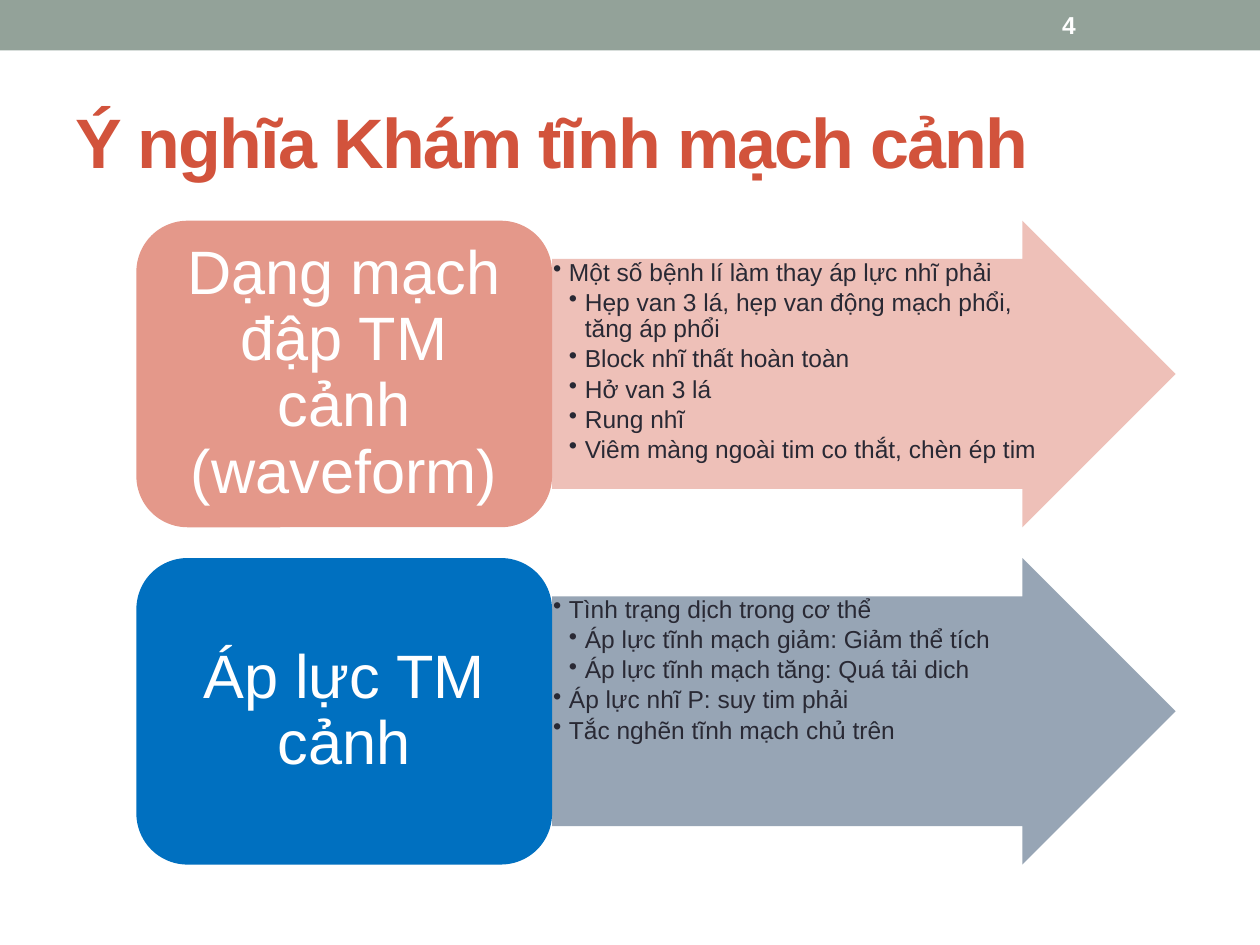
from dataclasses import dataclass

import lxml.etree
import pptx
import pptx.dml.color
import pptx.enum.shapes
import pptx.enum.text
import pptx.oxml.ns
import pptx.util

Cm = pptx.util.Cm
Pt = pptx.util.Pt
Shape = pptx.enum.shapes.MSO_SHAPE
Align = pptx.enum.text.PP_ALIGN
Anchor = pptx.enum.text.MSO_ANCHOR


@dataclass(frozen=True)
class Theme:
    font: str = "Arial"
    band: str = "93A299"
    title: str = "D2533C"
    ink: str = "292934"
    white: str = "FFFFFF"
    title_size: int = 40
    label_size: int = 35
    text_size: int = 14


# Each row: label, label colour, arrow colour, list of (level, text)
ROWS = [
    ("Dạng mạch đập TM cảnh (waveform)", "E4988A", "EDBAB1", [
        (1, "Một số bệnh lí làm thay áp lực nhĩ phải"),
        (2, "Hẹp van 3 lá, hẹp van động mạch phổi, tăng áp phổi"),
        (2, "Block nhĩ thất hoàn toàn"),
        (2, "Hở van 3 lá"),
        (2, "Rung nhĩ"),
        (2, "Viêm màng ngoài tim co thắt, chèn ép tim"),
    ]),
    ("Áp lực TM cảnh", "0070C0", "8C9CAD", [
        (1, "Tình trạng dịch trong cơ thể"),
        (2, "Áp lực tĩnh mạch giảm: Giảm thể tích"),
        (2, "Áp lực tĩnh mạch tăng: Quá tải dich"),
        (1, "Áp lực nhĩ P: suy tim phải"),
        (1, "Tắc nghẽn tĩnh mạch chủ trên"),
    ]),
]

ROW_TOP, ROW_HEIGHT, ROW_PITCH = 4.45, 6.18, 6.8
LABEL_LEFT, LABEL_WIDTH, ARROW_WIDTH = 2.75, 8.38, 12.57
BULLET_INDENT = 0.32


def add_xml(parent, tag, **attributes):
    return lxml.etree.SubElement(parent, pptx.oxml.ns.qn(tag), attributes)


class SlideBuilder:
    def __init__(self, slide, theme):
        self.slide = slide
        self.theme = theme

    def style_text(self, para, size, color, bold=False):
        for span in para.runs:
            span.font.name = self.theme.font
            span.font.size = Pt(size)
            span.font.bold = bold
            span.font.color.rgb = pptx.dml.color.RGBColor.from_string(color)

    def set_frame(self, shape, anchor, inset_x, inset_y):
        frame = shape.text_frame
        frame.word_wrap = True
        frame.vertical_anchor = anchor
        frame.margin_left = frame.margin_right = Cm(inset_x)
        frame.margin_top = frame.margin_bottom = Cm(inset_y)
        return frame

    def add_block(self, kind, left, top, width, height, color):
        block = self.slide.shapes.add_shape(
            kind, Cm(left), Cm(top), Cm(width), Cm(height))
        block.shadow.inherit = False
        block.fill.solid()
        block.fill.fore_color.rgb = pptx.dml.color.RGBColor.from_string(color)
        block.line.fill.background()
        return block

    def add_title(self, text):
        title = self.slide.shapes.title
        title.left, title.top = Cm(1.27), Cm(1.47)
        title.width, title.height = Cm(22.86), Cm(2.74)
        frame = self.set_frame(title, Anchor.MIDDLE, 0.25, 0.13)
        frame.text = text
        para = frame.paragraphs[0]
        para.alignment = Align.LEFT
        self.style_text(para, self.theme.title_size, self.theme.title, bold=True)
        para.runs[0].font._element.set("spc", "-100")

    def add_page_number(self, text):
        box = self.slide.shapes.add_textbox(Cm(21.16), Cm(0.05), Cm(2.97), Cm(0.91))
        frame = self.set_frame(box, Anchor.MIDDLE, 0.25, 0.13)
        frame.text = text
        self.style_text(frame.paragraphs[0], self.theme.text_size,
                        self.theme.white, bold=True)

    def add_label(self, text, top, color):
        label = self.add_block(Shape.ROUNDED_RECTANGLE, LABEL_LEFT, top,
                               LABEL_WIDTH, ROW_HEIGHT, color)
        frame = self.set_frame(label, Anchor.MIDDLE, 0.38, 0.18)
        frame.text = text
        para = frame.paragraphs[0]
        para.alignment = Align.CENTER
        para.line_spacing = 0.9
        self.style_text(para, self.theme.label_size, self.theme.white)

    def add_list_arrow(self, items, top, color):
        arrow = self.add_block(Shape.RIGHT_ARROW, LABEL_LEFT + LABEL_WIDTH, top,
                               ARROW_WIDTH, ROW_HEIGHT, color)
        arrow.adjustments[0], arrow.adjustments[1] = 0.75, 0.5
        add_xml(arrow.fill._xPr.find(".//" + pptx.oxml.ns.qn("a:srgbClr")),
                "a:alpha", val="90000")
        frame = self.set_frame(arrow, Anchor.TOP, 0.02, 0.02)
        frame.text = "\n".join(text for _, text in items)
        for para, (level, _) in zip(frame.paragraphs, items):
            para.level = level
            para.alignment = Align.LEFT
            para.line_spacing = 0.9
            para.space_after = Pt(0.15 * self.theme.text_size)
            properties = para._p.get_or_add_pPr()
            properties.set("marL", str(Cm(level * BULLET_INDENT)))
            properties.set("indent", str(-Cm(BULLET_INDENT)))
            add_xml(properties, "a:buChar", char="•")
            self.style_text(para, self.theme.text_size, self.theme.ink)


def main():
    deck = pptx.Presentation()
    deck.slide_width, deck.slide_height = Cm(25.4), Cm(19.05)
    theme = Theme()
    title_only = deck.slide_layouts[5]
    page = SlideBuilder(deck.slides.add_slide(title_only), theme)

    page.add_block(Shape.RECTANGLE, 0, 0, 25.4, 1.02, theme.band)
    page.add_title("Ý nghĩa Khám tĩnh mạch cảnh")
    for index, (label, label_color, arrow_color, items) in enumerate(ROWS):
        top = ROW_TOP + index * ROW_PITCH
        page.add_list_arrow(items, top, arrow_color)
        page.add_label(label, top, label_color)
    page.add_page_number("4")

    deck.save("out.pptx")


if __name__ == "__main__":
    main()
